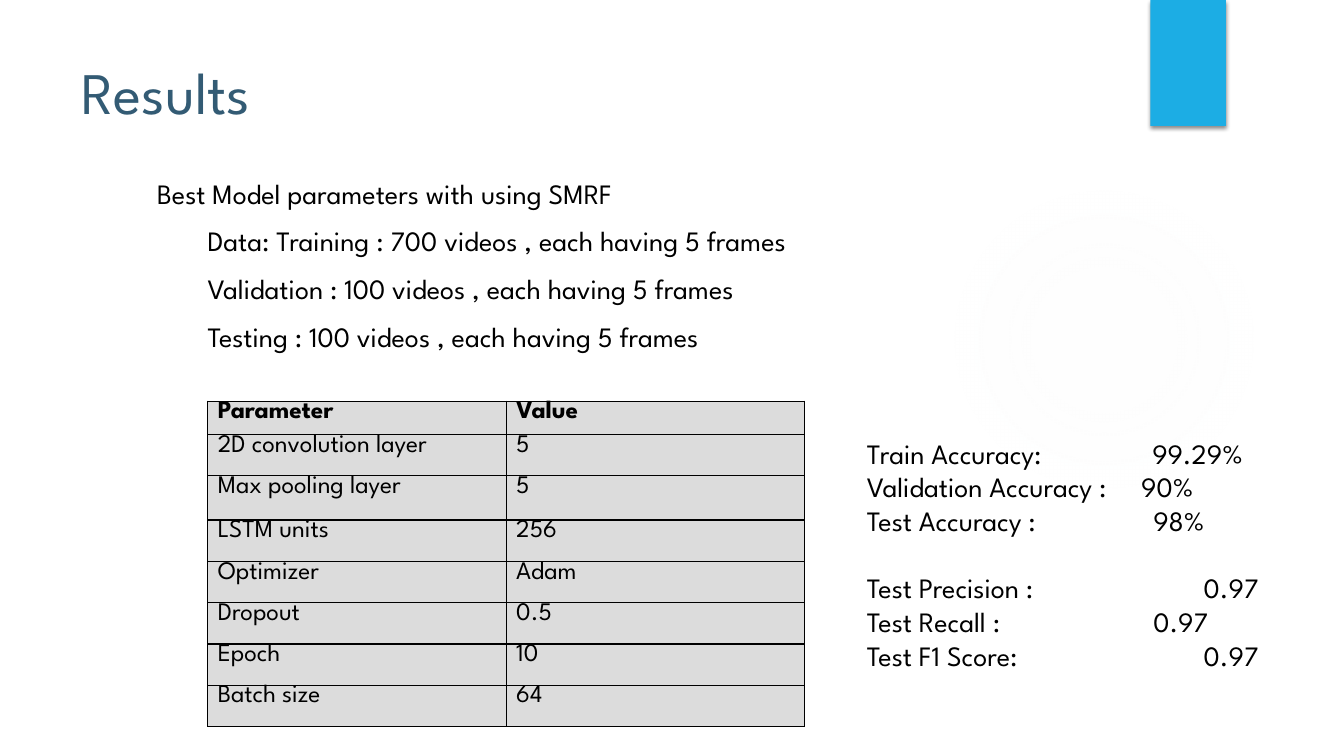
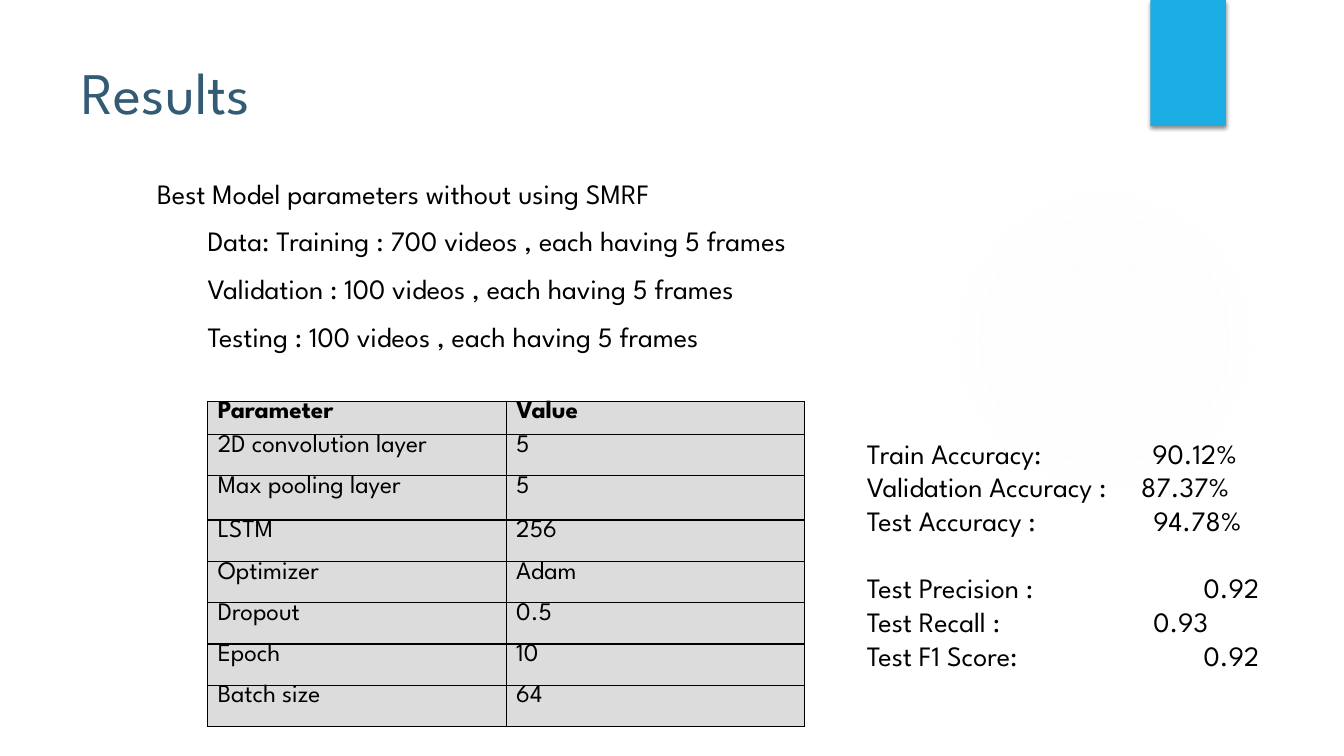
from dataclasses import dataclass

from pptx import Presentation
from pptx.dml.color import RGBColor
from pptx.enum.shapes import MSO_SHAPE as Preset
from pptx.enum.text import MSO_ANCHOR as Anchor
from pptx.oxml import parse_xml
from pptx.oxml.ns import nsdecls, qn
from pptx.shapes.autoshape import Shape
from pptx.slide import Slide
from pptx.table import _Cell as Cell
from pptx.text.text import TextFrame
from pptx.util import Inches, Pt

FONT = "League Spartan"
COLORS = {
    "title": "335B74",
    "text": "000000",
    "band": "1CADE4",
    "glow": "ECEEEF",
    "cell": "BFBFBF",
    "border": "000000",
    "shadow": "000000",
}
CELL_ALPHA = 54
GLOW_STOPS = ((0, 7), (36, 6), (69, 0))
COLUMN_WIDTH = 2.96
ROW_HEIGHTS = (0.33, 0.41, 0.44, 0.41, 0.41, 0.41, 0.41, 0.41)


@dataclass(frozen=True)
class Line:
    text: str
    indent: float = 0
    tab: float = 0
    before: float = 0


@dataclass(frozen=True)
class Metric:
    label: str
    tab: float
    before: float = 0


@dataclass(frozen=True)
class Result:
    heading: str
    lstm_label: str
    scores: tuple[str, ...]


DATA_SPLIT = (
    "Data: Training : 700 videos , each having 5 frames",
    "Validation : 100 videos , each having 5 frames",
    "Testing : 100 videos , each having 5 frames",
)
METRICS = (
    Metric("Train Accuracy:", 2.83),
    Metric("Validation Accuracy :", 2.72),
    Metric("Test Accuracy :", 2.84),
    Metric("Test Precision :", 3.34, before=24),
    Metric("Test Recall :", 2.84),
    Metric("Test F1 Score:", 3.34),
)
RESULTS = (
    Result("Best Model parameters with using SMRF", "LSTM units",
           ("99.29%", "90%", "98%", "0.97", "0.97", "0.97")),
    Result("Best Model parameters without using SMRF", "LSTM",
           ("90.12%", "87.37%", "94.78%", "0.92", "0.93", "0.92")),
)


def write_text(frame: TextFrame, lines: list[Line], *, size: float,
               color: str = "text", bold: bool = False) -> None:
    frame.word_wrap = True
    frame.vertical_anchor = Anchor.TOP
    for index, line in enumerate(lines):
        paragraph = frame.paragraphs[0] if index == 0 else frame.add_paragraph()
        properties = paragraph._p.get_or_add_pPr()
        if line.indent:
            properties.set("marL", str(Inches(line.indent)))
        if line.tab:
            properties.append(parse_xml(
                f'<a:tabLst {nsdecls("a")}>'
                f'<a:tab pos="{Inches(line.tab)}" algn="l"/></a:tabLst>'))
        if line.before:
            paragraph.space_before = Pt(line.before)
        run = paragraph.add_run()
        run.text = line.text
        run.font.name = FONT
        run.font.size = Pt(size)
        run.font.bold = bold
        run.font.color.rgb = RGBColor.from_string(COLORS[color])


def add_text_box(slide: Slide, left: float, top: float, width: float, height: float,
                 lines: list[Line], *, size: float = 20, color: str = "text") -> None:
    box = slide.shapes.add_textbox(Inches(left), Inches(top), Inches(width), Inches(height))
    write_text(box.text_frame, lines, size=size, color=color)


def add_plain_shape(slide: Slide, preset: Preset, left: float, top: float,
                    width: float, height: float, color: str) -> Shape:
    shape = slide.shapes.add_shape(
        preset, Inches(left), Inches(top), Inches(width), Inches(height))
    shape.shadow.inherit = False
    shape.fill.solid()
    shape.fill.fore_color.rgb = RGBColor.from_string(COLORS[color])
    shape.line.fill.background()
    return shape


def add_backdrop(slide: Slide) -> None:
    glow = add_plain_shape(slide, Preset.OVAL, 9.41, 1.83, 3.08, 3.08, "glow")
    stops = "".join(
        f'<a:gs pos="{position * 1000}"><a:srgbClr val="{COLORS["glow"]}">'
        f'<a:alpha val="{alpha * 1000}"/></a:srgbClr></a:gs>'
        for position, alpha in GLOW_STOPS)
    gradient = parse_xml(
        f'<a:gradFill {nsdecls("a")}><a:gsLst>{stops}</a:gsLst><a:path path="circle">'
        '<a:fillToRect l="50000" t="50000" r="50000" b="50000"/></a:path></a:gradFill>')
    glow_properties = glow._element.spPr
    glow_properties.replace(glow_properties.find(qn("a:solidFill")), gradient)

    band = add_plain_shape(slide, Preset.RECTANGLE, 11.41, 0, 0.75, 1.25, "band")
    band._element.spPr.find(qn("a:effectLst")).append(parse_xml(
        f'<a:outerShdw {nsdecls("a")} blurRad="{Pt(3)}" dist="{Pt(2)}" dir="5400000" '
        f'rotWithShape="0"><a:srgbClr val="{COLORS["shadow"]}">'
        '<a:alpha val="45000"/></a:srgbClr></a:outerShdw>'))


def format_cell(cell: Cell) -> None:
    properties = cell._tc.get_or_add_tcPr()
    for side in ("lnL", "lnR", "lnT", "lnB"):
        properties.append(parse_xml(
            f'<a:{side} {nsdecls("a")} w="{Pt(1)}"><a:solidFill>'
            f'<a:srgbClr val="{COLORS["border"]}"/></a:solidFill></a:{side}>'))
    cell.fill.solid()
    cell.fill.fore_color.rgb = RGBColor.from_string(COLORS["cell"])
    fill_color = properties.find(qn("a:solidFill")).find(qn("a:srgbClr"))
    fill_color.append(parse_xml(
        f'<a:alpha {nsdecls("a")} val="{CELL_ALPHA * 1000}"/>'))
    cell.margin_top = cell.margin_bottom = 0
    cell.margin_left = cell.margin_right = Inches(0.1)


def add_parameters(slide: Slide, lstm_label: str) -> None:
    rows = (
        ("Parameter", "Value"),
        ("2D convolution layer", "5"),
        ("Max pooling layer", "5"),
        (lstm_label, "256"),
        ("Optimizer", "Adam"),
        ("Dropout", "0.5"),
        ("Epoch", "10"),
        ("Batch size", "64"),
    )
    parameters = slide.shapes.add_table(
        len(rows), 2, Inches(2.06), Inches(3.98),
        Inches(2 * COLUMN_WIDTH), Inches(sum(ROW_HEIGHTS))).table
    parameters.first_row = False
    parameters.horz_banding = False
    for column in parameters.columns:
        column.width = Inches(COLUMN_WIDTH)
    for row_index, (entries, height) in enumerate(zip(rows, ROW_HEIGHTS)):
        parameters.rows[row_index].height = Inches(height)
        for column_index, entry in enumerate(entries):
            cell = parameters.cell(row_index, column_index)
            format_cell(cell)
            write_text(cell.text_frame, [Line(entry)], size=18, bold=row_index == 0)


def add_result(slide: Slide, result: Result) -> None:
    add_backdrop(slide)
    add_text_box(slide, 0.71, 0.5, 10.29, 1.1, [Line("Results")], size=42, color="title")
    summary = [Line(result.heading, indent=0.5)]
    summary += [Line(split, indent=1, before=10) for split in DATA_SPLIT]
    add_text_box(slide, 0.96, 1.7, 9.78, 2.1, summary)
    add_parameters(slide, result.lstm_label)
    scores = [Line(f"{metric.label}\t{score}", tab=metric.tab, before=metric.before)
              for metric, score in zip(METRICS, result.scores)]
    add_text_box(slide, 8.5, 4.28, 4.48, 2.46, scores)


def main() -> None:
    deck = Presentation()
    deck.slide_width = Inches(13.33)
    deck.slide_height = Inches(7.5)
    blank = deck.slide_layouts[6]
    for result in RESULTS:
        add_result(deck.slides.add_slide(blank), result)
    deck.save("out.pptx")


if __name__ == "__main__":
    main()
